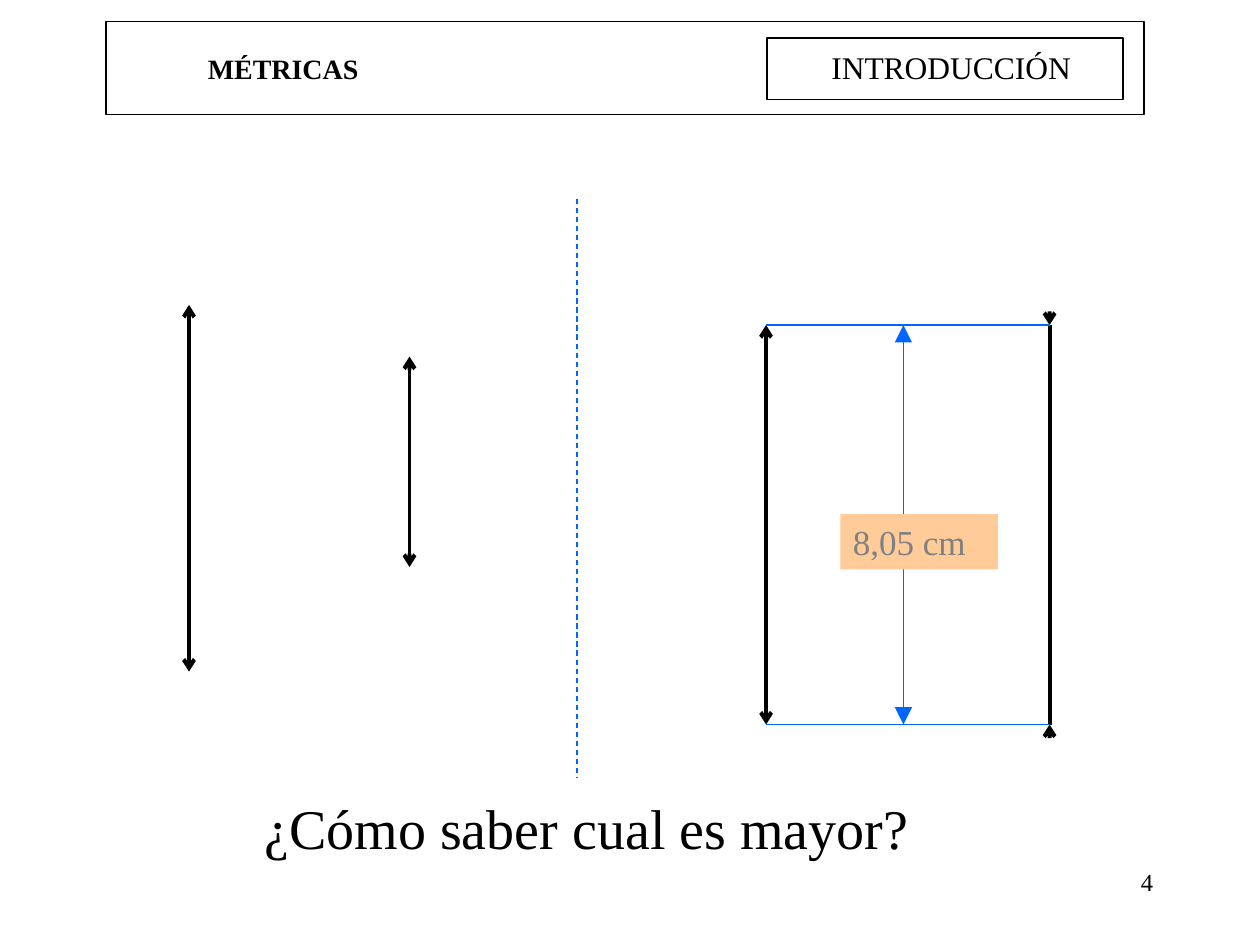
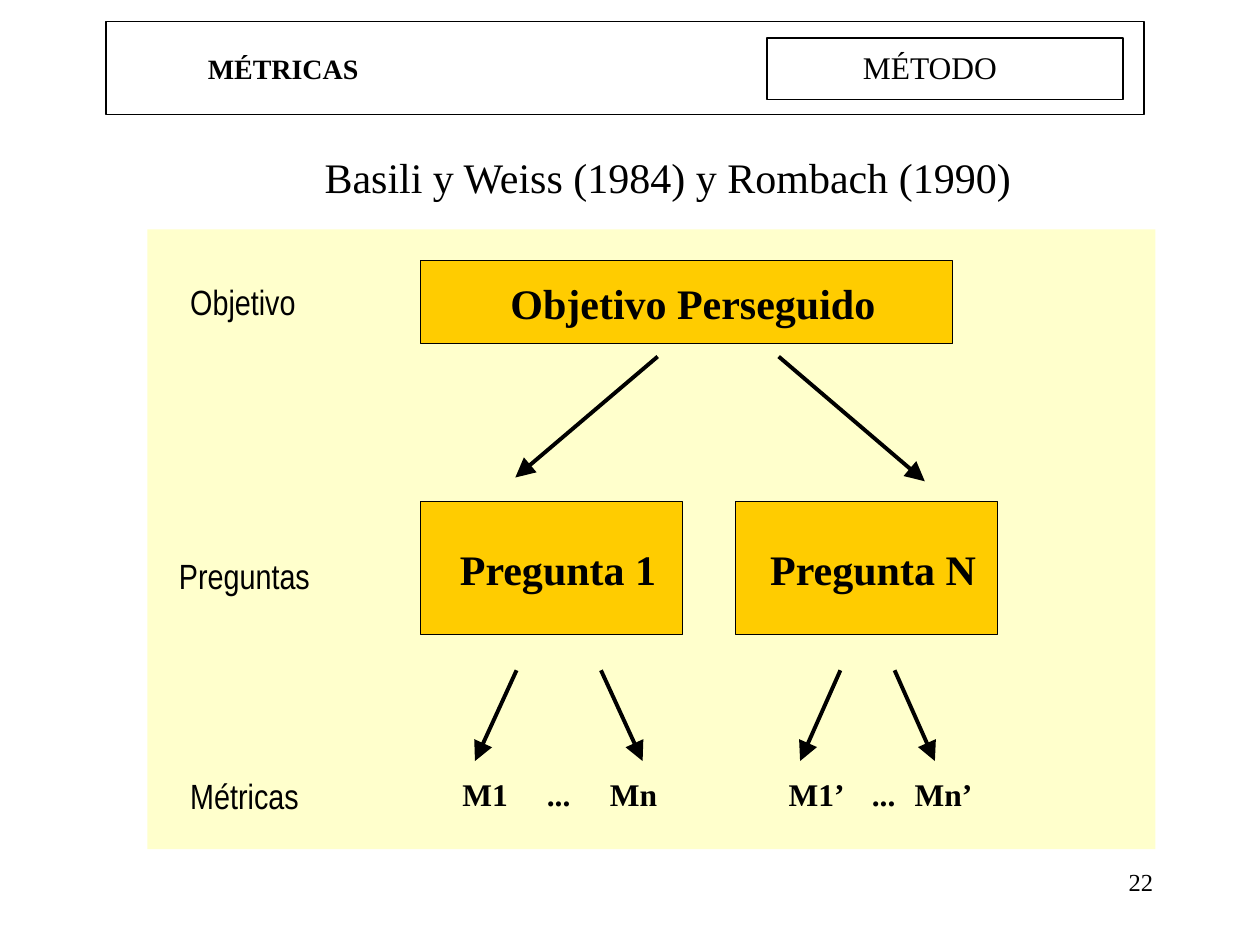
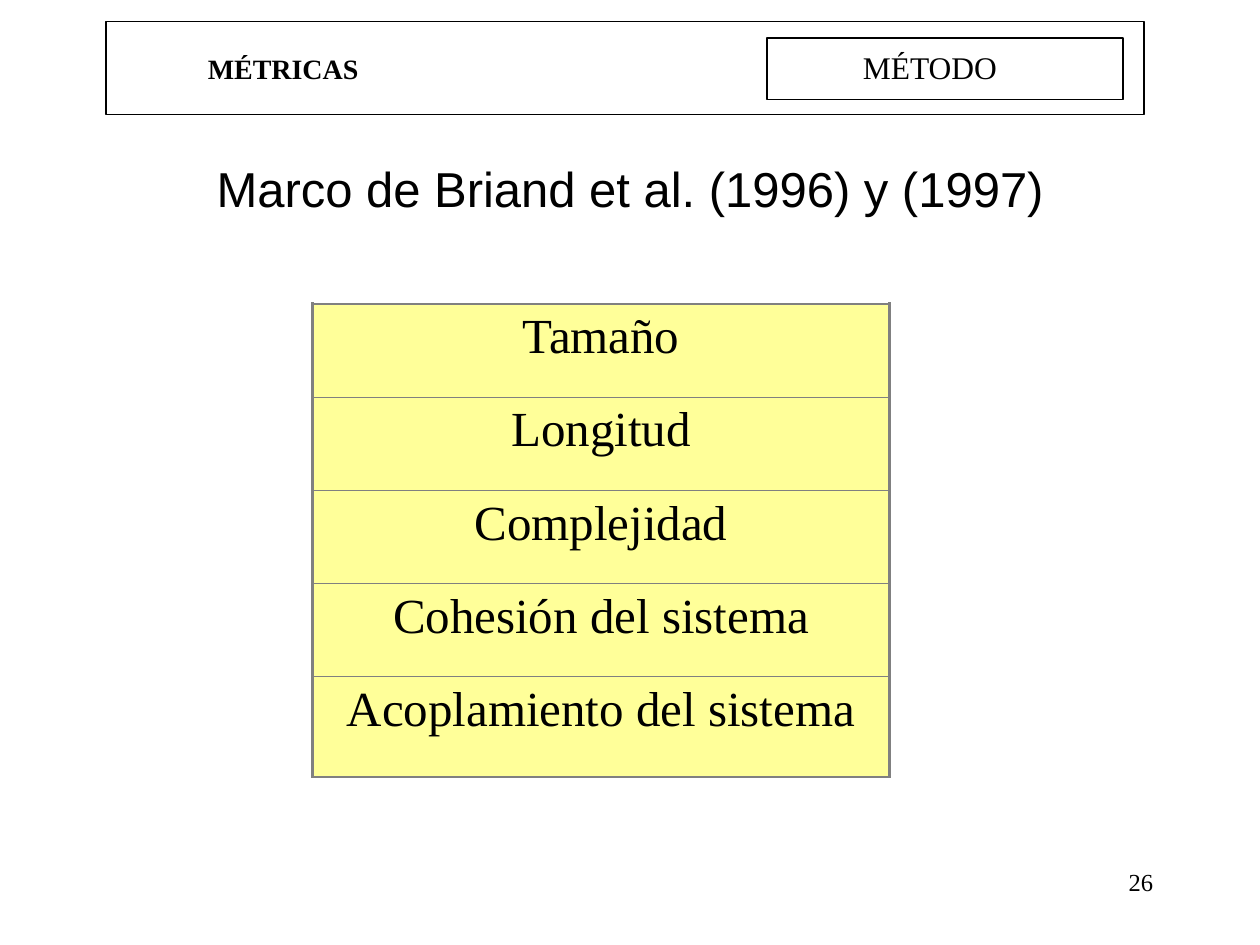
from dataclasses import dataclass

from lxml.etree import SubElement as Sub
from pptx import Presentation
from pptx.dml.color import RGBColor as RGB
from pptx.enum.dml import MSO_LINE as Dash
from pptx.enum.shapes import MSO_CONNECTOR as Conn, MSO_SHAPE as Shape
from pptx.enum.text import MSO_ANCHOR as Anchor, PP_ALIGN as Align
from pptx.oxml import parse_xml
from pptx.oxml.ns import nsdecls, qn
from pptx.util import Inches, Pt


@dataclass(frozen=True)
class Theme:
    serif: str = "Times New Roman"
    sans: str = "Arial"
    slim: str = "Arial Narrow"
    ink: str = "000000"
    blue: str = "0066FF"
    gray: str = "808080"
    peach: str = "FFCC99"
    cream: str = "FFFFCC"
    gold: str = "FFCC00"
    lemon: str = "FFFF99"
    foot: int = 14
    head: int = 16
    text: int = 18
    label: int = 20
    node: int = 24
    large: int = 28
    huge: int = 32
    thin: float = 0.75
    thick: float = 2.25


T = Theme()


def write(frame, words, size, font=T.serif, bold=False, color=T.ink,
          align=Align.LEFT, anchor=Anchor.TOP, pad=(0.1, 0.05, 0.1, 0.05)):
    frame.word_wrap = True
    frame.vertical_anchor = anchor
    (frame.margin_left, frame.margin_top,
     frame.margin_right, frame.margin_bottom) = map(Inches, pad)
    par = frame.paragraphs[0]
    par.text = words
    par.alignment = align
    run = par.runs[0].font
    run.name, run.size, run.bold = font, Pt(size), bold
    run.color.rgb = RGB.from_string(color)


def draw(slide, ends, color=T.ink, width=T.thick, head=None, tail=None,
         size="med", dash=None):
    line = slide.shapes.add_connector(Conn.STRAIGHT, *map(Inches, ends))
    line.line.color.rgb = RGB.from_string(color)
    line.line.width = Pt(width)
    if dash:
        line.line.dash_style = dash
    ln = line.line._get_or_add_ln()
    for tag, kind in (("a:headEnd", head), ("a:tailEnd", tail)):
        if kind:
            Sub(ln, qn(tag), type=kind, w=size, len=size)
    Sub(line._element.spPr, qn("a:effectLst"))


deck = Presentation()
deck.slide_width, deck.slide_height = Inches(10), Inches(7.5)

pages = []
for part, left, num in (("INTRODUCCIÓN", 6.5, "4"), ("MÉTODO", 6.75, "22"),
                        ("MÉTODO", 6.75, "26")):
    page = deck.slides.add_slide(deck.slide_layouts[5])
    pages.append(page)
    title = page.shapes.title
    title.left, title.top = Inches(1.55), Inches(0.21)
    title.width, title.height = Inches(4.3), Inches(0.67)
    write(title.text_frame, "MÉTRICAS", T.head, bold=True, anchor=Anchor.MIDDLE)
    for spot in ((0.84, 0.17, 8.24, 0.74), (6.09, 0.3, 2.82, 0.49)):
        band = page.shapes.add_shape(Shape.RECTANGLE, *map(Inches, spot))
        band.shadow.inherit = False
        band.fill.background()
        band.line.color.rgb = RGB.from_string(T.ink)
        band.line.width = Pt(1)
    for words, spot, size, align in (
            (part, (left, 0.33, 2.3, 0.4), T.text, Align.LEFT),
            (num, (7.17, 6.83, 2.08, 0.5), T.foot, Align.RIGHT)):
        box = page.shapes.add_textbox(*map(Inches, spot))
        write(box.text_frame, words, size, align=align)

intro, goals, frame = pages

top, base, left, right = 2.58, 5.75, 6.08, 8.33
for x, y1, y2 in ((1.5, 2.42, 5.33), (3.25, 2.83, 4.5), (left, top, base)):
    draw(intro, (x, y1, x, y2), head="arrow", tail="arrow")
draw(intro, (right, top, right, base))
for y1, y2 in ((2.5, top), (5.83, base)):
    draw(intro, (right, y1, right, y2), tail="arrow")
draw(intro, (4.58, 1.58, 4.58, 6.17), T.blue, T.thin, dash=Dash.DASH)
for y in (top, base):
    draw(intro, (left, y, right, y), T.blue, T.thin)
draw(intro, (7.17, top, 7.17, base), T.blue, T.thin, "triangle", "triangle", "lg")
size = intro.shapes.add_shape(
    Shape.RECTANGLE, *map(Inches, (6.67, 4.08, 1.25, 0.44)))
size.shadow.inherit = False
size.fill.solid()
size.fill.fore_color.rgb = RGB.from_string(T.peach)
size.line.fill.background()
write(size.text_frame, "8,05 cm", T.label, color=T.gray, anchor=Anchor.MIDDLE)
ask = intro.shapes.add_textbox(*map(Inches, (2, 6.25, 5.92, 0.64)))
write(ask.text_frame, "¿Cómo saber cual es mayor?", T.huge)

cite = goals.shapes.add_textbox(*map(Inches, (2.01, 1.15, 6.58, 0.5)))
write(cite.text_frame, "Basili y Weiss (1984) y Rombach (1990)", T.node,
      align=Align.CENTER)
panel = goals.shapes.add_shape(
    Shape.RECTANGLE, *map(Inches, (1.17, 1.82, 8, 4.92)))
panel.shadow.inherit = False
panel.fill.solid()
panel.fill.fore_color.rgb = RGB.from_string(T.cream)
panel.line.fill.background()
for words, x, y in (("Objetivo", 1.51, 2.23), ("Preguntas", 1.42, 4.4),
                    ("Métricas", 1.51, 6.15)):
    box = goals.shapes.add_textbox(*map(Inches, (x, y, 1.3, 0.33)))
    write(box.text_frame, words, T.label, T.slim, pad=(0, 0, 0, 0))
for words, spot in (("Objetivo Perseguido", (3.34, 2.07, 4.22, 0.66)),
                    ("Pregunta 1", (3.34, 3.98, 2.08, 1.06)),
                    ("Pregunta N", (5.84, 3.98, 2.08, 1.06))):
    node = goals.shapes.add_shape(Shape.RECTANGLE, *map(Inches, spot))
    node.shadow.inherit = False
    node.fill.solid()
    node.fill.fore_color.rgb = RGB.from_string(T.gold)
    node.line.color.rgb = RGB.from_string(T.ink)
    node.line.width = Pt(0.5)
    write(node.text_frame, words, T.node, bold=True, align=Align.CENTER,
          anchor=Anchor.MIDDLE, pad=(0.1, 0, 0, 0))
for ends in ((5.22, 2.83, 4.09, 3.79), (6.18, 2.83, 7.34, 3.82),
             (4.1, 5.32, 3.77, 6.04), (4.77, 5.32, 5.1, 6.04),
             (6.67, 5.32, 6.35, 6.04), (7.1, 5.32, 7.42, 6.04)):
    draw(goals, ends, tail="triangle", size="lg")
for words, x in (("M1", 3.67), ("...", 4.34), ("Mn", 4.84),
                 ("M1’", 6.26), ("...", 6.92), ("Mn’", 7.26)):
    box = goals.shapes.add_textbox(*map(Inches, (x, 6.15, 0.6, 0.3)))
    write(box.text_frame, words, T.text, bold=True, pad=(0, 0, 0, 0))

cite = frame.shapes.add_textbox(*map(Inches, (0.75, 1.22, 8.5, 0.55)))
write(cite.text_frame, "Marco de Briand et al. (1996) y (1997)", T.large,
      T.sans, align=Align.CENTER, anchor=Anchor.MIDDLE)
traits = ("Tamaño", "Longitud", "Complejidad", "Cohesión del sistema",
          "Acoplamiento del sistema")
last = len(traits) - 1
grid = frame.shapes.add_table(
    len(traits), 1, *map(Inches, (2.48, 2.41, 4.58, 3.76))).table
grid.first_row = grid.horz_banding = False
for i, words in enumerate(traits):
    grid.rows[i].height = Inches(0.8 if i == last else 0.74)
    cell = grid.cell(i, 0)
    cell.fill.solid()
    cell.fill.fore_color.rgb = RGB.from_string(T.lemon)
    write(cell.text_frame, words, T.large, align=Align.CENTER)
    cell.margin_left = cell.margin_right = Inches(0.1)
    cell.margin_top = cell.margin_bottom = Inches(0.05)
    props = cell._tc.get_or_add_tcPr()
    for k, (side, outer) in enumerate(
            (("L", True), ("R", True), ("T", i == 0), ("B", i == last))):
        width = Pt(1.47 if outer else 0.45)
        props.insert(k, parse_xml(
            f'<a:ln{side} {nsdecls("a")} w="{width}"><a:solidFill>'
            f'<a:srgbClr val="{T.gray}"/></a:solidFill></a:ln{side}>'))

deck.save("out.pptx")
